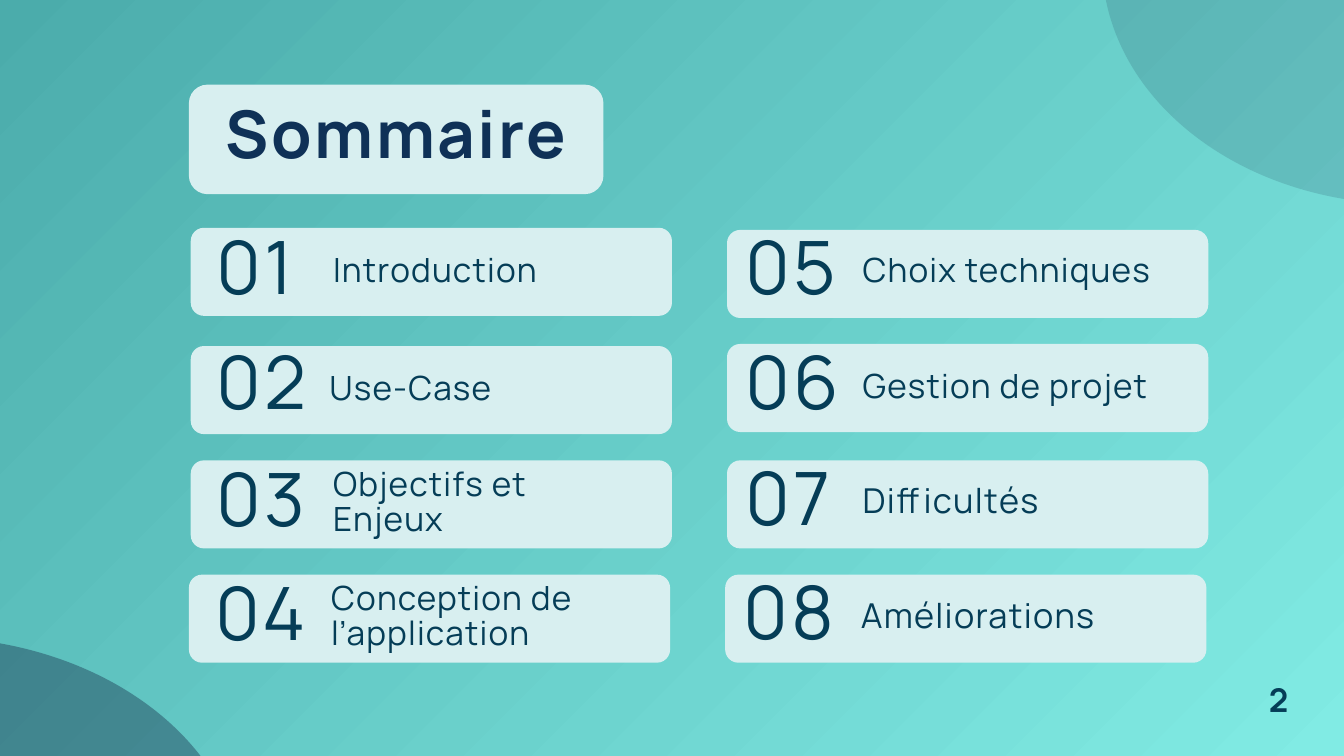
from lxml import etree
from pptx import Presentation
from pptx import util as u
from pptx.dml.color import RGBColor
from pptx.enum import shapes, text
from pptx.oxml import ns

COLOURS = {
    "ink": "053D57", "title": "0F3157", "card": "D8EFF0", "ellipse": "19324D",
    "start": "4BACAB", "end": "81EBE4",
}
NUMBER = {"size": 78.8, "leading": 83.5, "spacing": 2.9}
LABEL = {"size": 35.7, "leading": 37.8, "spacing": 1.3}
LARGE_LABEL = {"size": 36.7, "leading": 38.9, "spacing": 1.4}
TITLE = {"size": 70.4, "leading": 74.7, "spacing": 2.6, "bold": True,
         "colour": "title", "align": text.PP_ALIGN.CENTER}
PAGE = {"size": 35, "leading": 49, "bold": True, "wrap": False,
        "align": text.PP_ALIGN.CENTER}

CARD_WIDTH, CARD_HEIGHT = 18.19, 3.33
COLUMNS = [
    {"number_offset": 0.99, "label_offset": 5.38, "label_width": 11.79, "entries": [
        (7.21, 8.61, 8.76, 9.58, "Introduction", LABEL, 0),
        (7.21, 13.08, 13.08, 14.05, "Use-Case", LABEL, -0.14),
        (7.21, 17.4, 17.5, 17.68, "Objectifs et Enjeux", LABEL, 0),
        (7.14, 21.72, 21.82, 22, "Conception de l’application", LABEL, 0),
    ]},
    {"number_offset": 0.71, "label_offset": 5.13, "label_width": 12.55, "entries": [
        (27.48, 8.69, 8.76, 9.58, "Choix techniques", LABEL, 0),
        (27.48, 13, 13.08, 13.97, "Gestion de projet", LABEL, 0),
        (27.48, 17.4, 17.48, 18.31, "Difficultés", LARGE_LABEL, 0),
        (27.41, 21.72, 21.8, 22.63, "Améliorations", LARGE_LABEL, 0),
    ]},
]


def rgb(name):
    """Return the named colour."""
    return RGBColor.from_string(COLOURS[name])


def box(*lengths):
    """Convert centimetre values to lengths."""
    return [u.Cm(length) for length in lengths]


def paint_background(slide):
    """Fill the slide with the diagonal gradient."""
    fill = slide.background.fill
    fill.gradient()
    fill.gradient_angle = 315
    for stop, name in zip(fill.gradient_stops, ("start", "end")):
        stop.color.rgb = rgb(name)


def add_filled(slide, kind, place, colour):
    """Add a preset shape with a plain fill and no line."""
    shape = slide.shapes.add_shape(kind, *box(*place))
    shape.shadow.inherit = False
    shape.fill.solid()
    shape.fill.fore_color.rgb = rgb(colour)
    shape.line.fill.background()
    return shape


def add_card(slide, place, radius):
    """Add a pale rounded card."""
    shape = add_filled(slide, shapes.MSO_SHAPE.ROUNDED_RECTANGLE, place, "card")
    shape.adjustments[0] = radius


def add_ellipse(slide, place, opacity):
    """Add a translucent corner ellipse with the opacity in percent."""
    shape = add_filled(slide, shapes.MSO_SHAPE.OVAL, place, "ellipse")
    colour = shape.fill._xPr.find(".//" + ns.qn("a:srgbClr"))
    etree.SubElement(colour, ns.qn("a:alpha")).set("val", str(opacity * 1000))


def add_text(slide, place, words, style):
    """Add a text box without margins in the given style."""
    frame = slide.shapes.add_textbox(*box(*place)).text_frame
    settings = {
        "margin_left": 0, "margin_top": 0, "margin_right": 0, "margin_bottom": 0,
        "word_wrap": style.get("wrap", True),
        "auto_size": text.MSO_AUTO_SIZE.SHAPE_TO_FIT_TEXT,
    }
    for name, value in settings.items():
        setattr(frame, name, value)
    paragraph = frame.paragraphs[0]
    paragraph.alignment = style.get("align", text.PP_ALIGN.LEFT)
    paragraph.line_spacing = u.Pt(style["leading"])
    run = paragraph.add_run()
    run.text = words
    font = {"name": "Manrope", "size": u.Pt(style["size"]),
            "bold": style.get("bold", False)}
    for name, value in font.items():
        setattr(run.font, name, value)
    run.font.color.rgb = rgb(style.get("colour", "ink"))
    spacing = round(style.get("spacing", 0) * 100)
    run._r.get_or_add_rPr().set("spc", str(spacing))


def add_entry(slide, column, number, entry):
    """Add one numbered line of the contents."""
    left, top, number_top, label_top, label, style, shift = entry
    add_card(slide, (left, top, CARD_WIDTH, CARD_HEIGHT), 0.15)
    add_text(slide, (left + column["number_offset"], number_top, 5, 3.25),
             f"{number:02d}", NUMBER)
    add_text(slide, (left + column["label_offset"] + shift, label_top,
                     column["label_width"], 1.45), label, style)


def main():
    """Build the contents slide."""
    presentation = Presentation()
    presentation.slide_width, presentation.slide_height = box(50.8, 28.575)
    slide = presentation.slides.add_slide(presentation.slide_layouts[6])
    paint_background(slide)
    add_ellipse(slide, (41.66, -10.57, 23.06, 18.29), 16)
    add_ellipse(slide, (-14.66, 24.08, 23.9, 18.29), 42)
    add_card(slide, (7.14, 3.2, 15.67, 4.14), 0.17)
    add_text(slide, (4.55, 3.84, 20.85, 2.9), "Sommaire", TITLE)
    number = 0
    for column in COLUMNS:
        for entry in column["entries"]:
            number += 1
            add_entry(slide, column, number, entry)
    add_text(slide, (47.96, 25.45, 0.43, 0.69), "2", PAGE)
    presentation.save("out.pptx")


if __name__ == "__main__":
    main()
